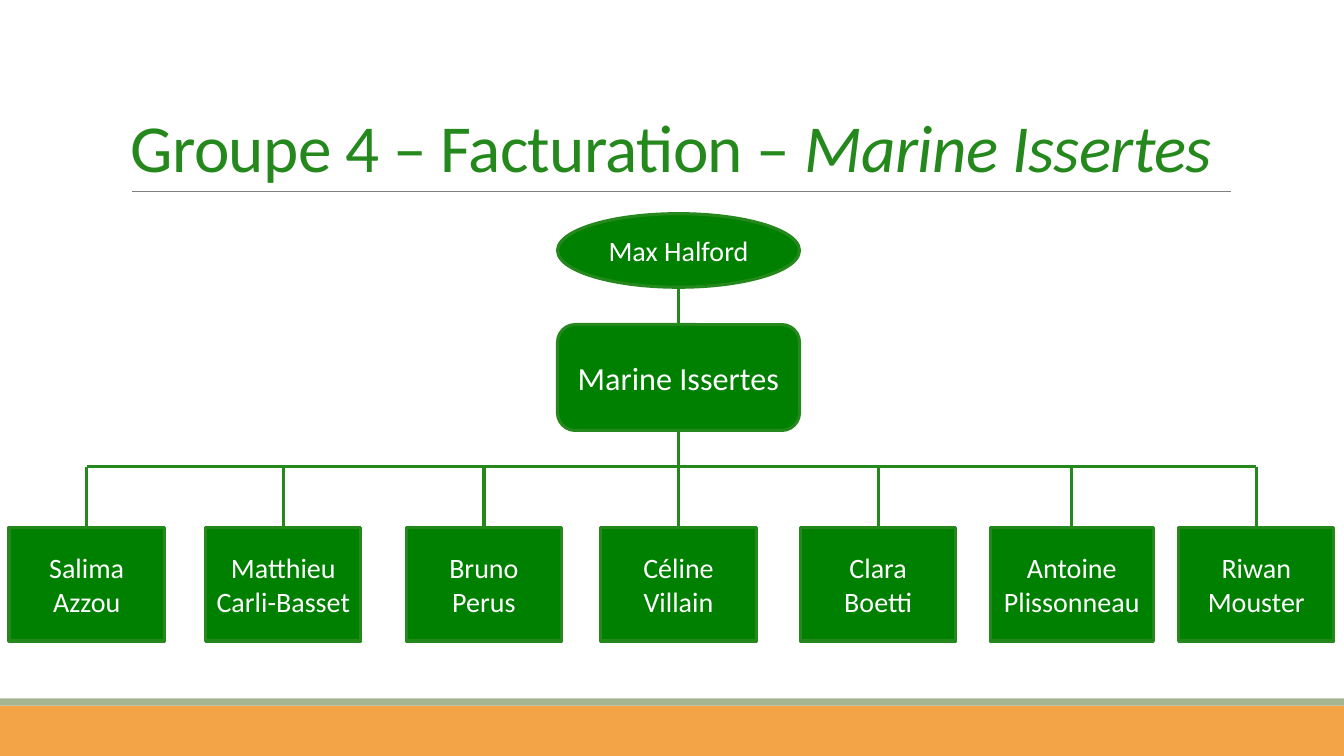
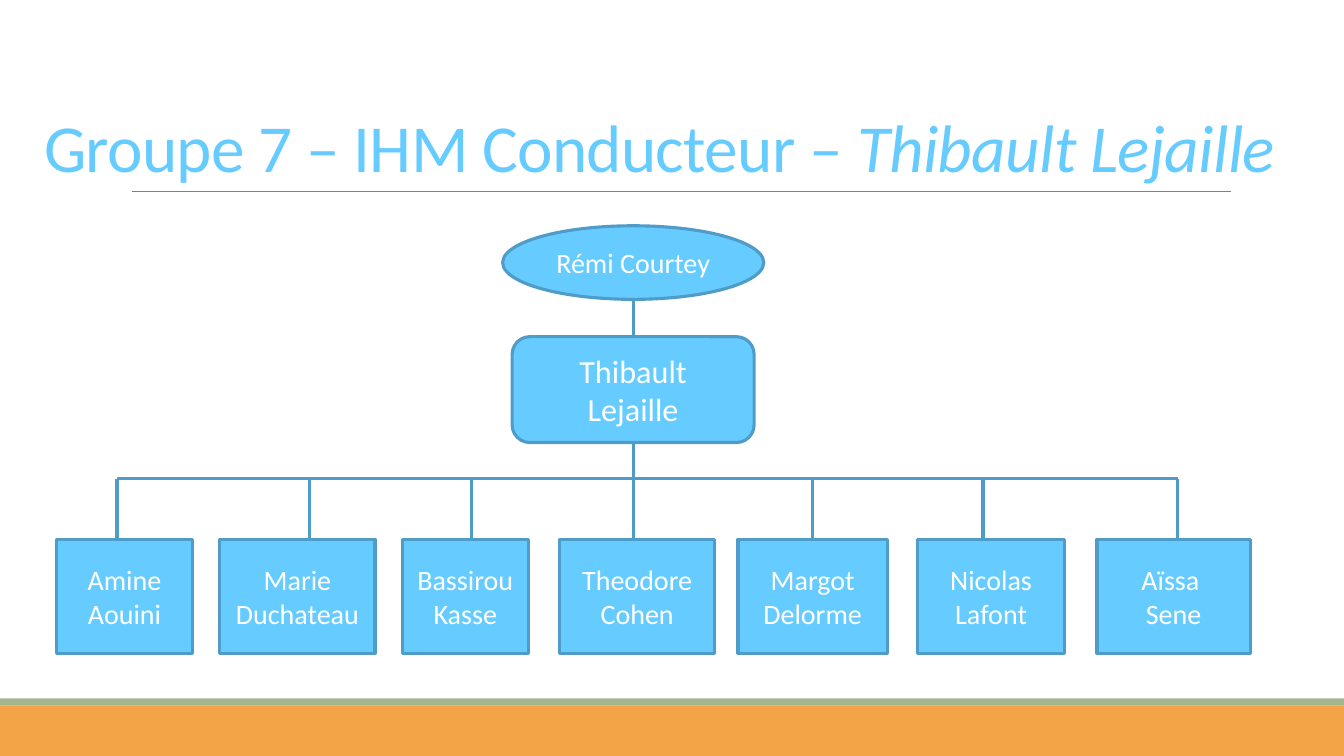
"""Build two team organisation charts in one shared page style."""
from dataclasses import dataclass

from lxml import etree
from pptx import Presentation
from pptx.dml.color import RGBColor
from pptx.enum.shapes import MSO_CONNECTOR, MSO_SHAPE
from pptx.enum.text import MSO_ANCHOR, PP_ALIGN
from pptx.oxml.ns import qn
from pptx.util import Inches, Pt

RECTANGLE = MSO_SHAPE.RECTANGLE
ROUNDED = MSO_SHAPE.ROUNDED_RECTANGLE
OVAL = MSO_SHAPE.OVAL
STRAIGHT = MSO_CONNECTOR.STRAIGHT
CENTER = PP_ALIGN.CENTER
MIDDLE = MSO_ANCHOR.MIDDLE
BOTTOM = MSO_ANCHOR.BOTTOM
TOP_SIDE, BOTTOM_SIDE = 0, 2

WHITE = RGBColor(0xFF, 0xFF, 0xFF)
GREY = RGBColor(0x80, 0x80, 0x80)
ORANGE = RGBColor(0xF3, 0xA4, 0x47)
SAGE = RGBColor(0xA5, 0xB5, 0x92)
GREEN = RGBColor(0x00, 0x80, 0x00)
LEAF = RGBColor(0x24, 0x88, 0x1C)
SKY = RGBColor(0x66, 0xCC, 0xFF)
STEEL = RGBColor(0x50, 0x9C, 0xC9)

FONT = "Calibri"
PAGE_WIDTH, PAGE_HEIGHT = 13.33, 7.5
LINE_WEIGHT = 2.25
HEAD_HEIGHT = 0.73
LEAD_OFFSET, LEAD_WIDTH, LEAD_HEIGHT = 1.1, 2.4, 1.05
BAR_OFFSET = 2.51
MEMBER_OFFSET, MEMBER_WIDTH, MEMBER_HEIGHT = 3.11, 1.54, 1.13


@dataclass
class Member:
    """A team member's box, with the place of its drop line if off centre."""
    name: str
    left: float
    width: float = MEMBER_WIDTH
    drop: float | None = None


@dataclass
class Team:
    """The content and style of one organisation chart."""
    title: str
    title_left: float
    title_width: float
    title_color: RGBColor
    fill: RGBColor
    line: RGBColor
    top: float
    axis: float
    head: str
    head_width: float
    lead: str
    members: list[Member]


BILLING = Team(
    "Groupe 4 – Facturation – ", 1.2, 11, LEAF, GREEN, LEAF,
    2.12, 6.73, "Max Halford", 2.4, "Marine Issertes",
    [
        Member("Salima Azzou", 0.09),
        Member("Matthieu Carli-Basset", 2.04),
        Member("Bruno Perus", 4.03),
        Member("Céline Villain", 5.96),
        Member("Clara\nBoetti", 7.94),
        Member("Antoine Plissonneau", 9.82, 1.62),
        Member("Riwan Mouster", 11.69),
    ],
)
DRIVER = Team(
    "Groupe 7 – IHM Conducteur – ", 0.34, 12.63, SKY, SKY, STEEL,
    2.24, 6.28, "Rémi Courtey", 2.59, "Thibault\nLejaille",
    [
        Member("Amine Aouini", 0.56, 1.35, 1.16),
        Member("Marie Duchateau", 2.18, drop=3.07),
        Member("Bassirou\nKasse", 3.99, 1.25, 4.68),
        Member("Theodore Cohen", 5.55, drop=6.28),
        Member("Margot Delorme", 7.32, 1.48),
        Member("Nicolas Lafont", 9.1, 1.46, 9.75),
        Member("Aïssa \nSene", 10.88, 1.52, 11.68),
    ],
)


def add_span(para, text, size, color, italic=None):
    """Add one styled run to a paragraph."""
    span = para.add_run()
    span.text = text
    span.font.name = FONT
    span.font.size = Pt(size)
    span.font.color.rgb = color
    span.font.italic = italic
    return span


def add_box(page, kind, left, top, width, height, fill, line=None):
    """Add a filled preset shape, outlined if a line colour is given."""
    box = page.shapes.add_shape(
        kind, Inches(left), Inches(top), Inches(width), Inches(height))
    box.shadow.inherit = False
    box.fill.solid()
    box.fill.fore_color.rgb = fill
    if line is None:
        box.line.fill.background()
    else:
        box.line.color.rgb = line
        box.line.width = Pt(LINE_WEIGHT)
    return box


def add_person(page, team, kind, name, left, top, width, height, size=20):
    """Add a shape holding a centred name."""
    box = add_box(page, kind, left, top, width, height, team.fill, team.line)
    frame = box.text_frame
    frame.vertical_anchor = MIDDLE
    for index, text in enumerate(name.split("\n")):
        para = frame.add_paragraph() if index else frame.paragraphs[0]
        para.alignment = CENTER
        add_span(para, text, size, WHITE)
    return box


def add_line(page, start, end, color, weight=LINE_WEIGHT):
    """Add a straight connector between two points."""
    line = page.shapes.add_connector(
        STRAIGHT, *(Inches(value) for value in (*start, *end)))
    line.line.color.rgb = color
    line.line.width = Pt(weight)
    properties = line._element.find(qn("p:spPr"))
    etree.SubElement(properties, qn("a:effectLst"))
    return line


def add_title(page, team):
    """Add the title, with the leader's name in italics."""
    box = page.shapes.add_textbox(
        Inches(team.title_left), Inches(0.31),
        Inches(team.title_width), Inches(1.59))
    frame = box.text_frame
    frame.word_wrap = True
    frame.vertical_anchor = BOTTOM
    para = frame.paragraphs[0]
    para.line_spacing = 0.85
    leader = team.lead.replace("\n", " ")
    for text, italic in ((team.title, None), (leader, True)):
        span = add_span(para, text, 48, team.title_color, italic)
        span.font._element.set("spc", "-50")


def add_page(deck, team):
    """Add a page with the shared bands, rule and title."""
    page = deck.slides.add_slide(deck.slide_layouts[6])
    add_box(page, RECTANGLE, 0, 7, PAGE_WIDTH, 0.5, ORANGE)
    add_box(page, RECTANGLE, 0, 6.93, PAGE_WIDTH, 0.07, SAGE)
    add_line(page, (1.31, 1.9), (12.21, 1.9), GREY, 0.5)
    add_title(page, team)
    return page


def add_member(page, team, member):
    """Add a member's box and drop line, and return the line's place."""
    top = team.top + MEMBER_OFFSET
    box = add_person(page, team, RECTANGLE, member.name,
                     member.left, top, member.width, MEMBER_HEIGHT)
    centred = member.drop is None
    drop = member.left + member.width / 2 if centred else member.drop
    line = add_line(page, (drop, team.top + BAR_OFFSET), (drop, top), team.line)
    if centred:
        line.end_connect(box, TOP_SIDE)
    return drop


def add_chart(page, team):
    """Add the head, the leader and the row of members, with their lines."""
    axis = team.axis
    lead_top = team.top + LEAD_OFFSET
    bar = team.top + BAR_OFFSET
    add_person(page, team, OVAL, team.head, axis - team.head_width / 2,
               team.top, team.head_width, HEAD_HEIGHT)
    lead = add_person(page, team, ROUNDED, team.lead, axis - LEAD_WIDTH / 2,
                      lead_top, LEAD_WIDTH, LEAD_HEIGHT, 23)
    upper = add_line(page, (axis, team.top + HEAD_HEIGHT), (axis, lead_top),
                     team.line)
    upper.end_connect(lead, TOP_SIDE)
    lower = add_line(page, (axis, lead_top + LEAD_HEIGHT), (axis, bar),
                     team.line)
    lower.begin_connect(lead, BOTTOM_SIDE)
    drops = [add_member(page, team, member) for member in team.members]
    add_line(page, (drops[0], bar), (drops[-1], bar), team.line)


def main():
    """Build and save the deck."""
    deck = Presentation()
    deck.slide_width = Inches(PAGE_WIDTH)
    deck.slide_height = Inches(PAGE_HEIGHT)
    for team in (BILLING, DRIVER):
        add_chart(add_page(deck, team), team)
    deck.save("out.pptx")


if __name__ == "__main__":
    main()
